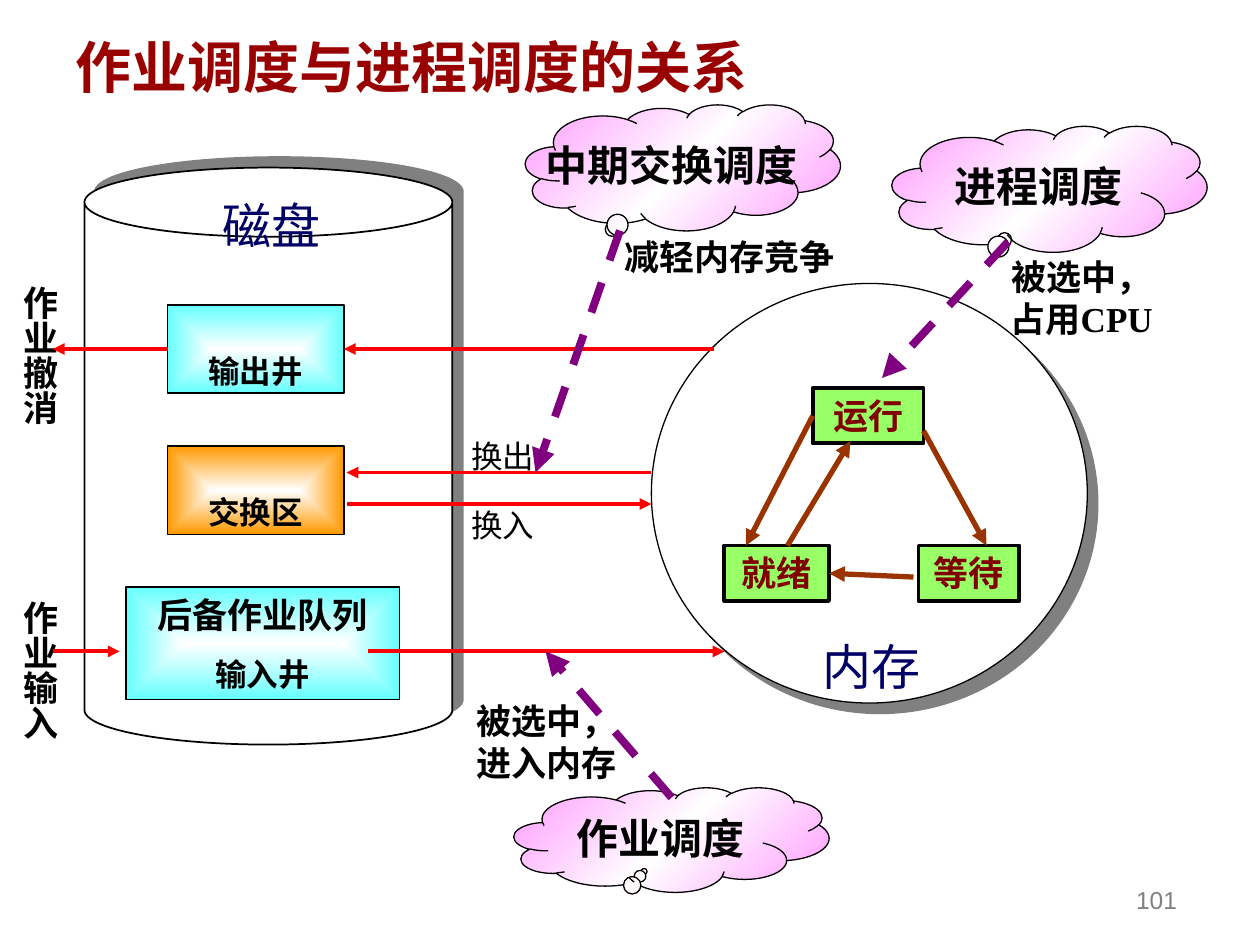
from lxml.etree import SubElement
from pptx import Presentation
from pptx.dml.color import RGBColor
from pptx.enum.dml import MSO_LINE
from pptx.enum.shapes import MSO_CONNECTOR, MSO_SHAPE as Preset
from pptx.enum.text import MSO_ANCHOR as Anchor, MSO_AUTO_SIZE, PP_ALIGN as Align
from pptx.oxml import parse_xml
from pptx.oxml.ns import nsdecls, qn
from pptx.util import Inches, Pt

WHITE = RGBColor(0xFF, 0xFF, 0xFF)
BLACK = RGBColor(0x00, 0x00, 0x00)
GRAY = RGBColor(0x80, 0x80, 0x80)
CYAN = RGBColor(0x66, 0xFF, 0xFF)
ORANGE = RGBColor(0xFF, 0x99, 0x00)
PINK = RGBColor(0xFF, 0x99, 0xFF)
LIME = RGBColor(0x99, 0xFF, 0x66)
NAVY = RGBColor(0x00, 0x00, 0x66)
MAROON = RGBColor(0x80, 0x00, 0x00)
DARK_RED = RGBColor(0x99, 0x00, 0x00)
RED = RGBColor(0xFF, 0x00, 0x00)
BROWN = RGBColor(0x99, 0x33, 0x00)
PURPLE = RGBColor(0x80, 0x00, 0x80)
SERIF, SANS, HEADING = "Times New Roman", "Arial", "Noto Sans CJK SC"
TOP, LEFT, RIGHT = 0, 1, 3


def within(area, dx, dy, width, height):
    return area[0] + dx, area[1] + dy, width, height


def write(holder, *lines, size=20, color=BLACK, bold=True, font=SERIF, align=Align.CENTER,
          anchor=Anchor.TOP, wrap=True, insets=(0.1, 0.05, 0.1, 0.05), space_before=0):
    frame = holder.text_frame
    frame.auto_size = MSO_AUTO_SIZE.NONE
    frame.word_wrap = wrap
    frame.vertical_anchor = anchor
    frame.margin_left, frame.margin_top, frame.margin_right, frame.margin_bottom = map(Inches, insets)
    for index, line in enumerate(lines):
        paragraph = frame.add_paragraph() if index else frame.paragraphs[0]
        paragraph.alignment = align
        paragraph.space_before = Pt(space_before if index else 0)
        run = paragraph.add_run()
        run.text = line
        run.font.size, run.font.bold, run.font.name = Pt(size), bold, font
        run.font.color.rgb = color
    return frame


def label(slide, box, text, vertical=False, **style):
    frame = write(slide.shapes.add_textbox(*map(Inches, box)), text, **style)
    if vertical:
        frame._txBody.bodyPr.set("vert", "eaVert")
    return frame


def draw(slide, preset, box, fill=None, weight=0.75):
    shape = slide.shapes.add_shape(preset, *map(Inches, box))
    shape.shadow.inherit = False
    if fill is not None:
        shape.fill.solid()
        shape.fill.fore_color.rgb = fill
    shape.line.color.rgb = BLACK
    shape.line.width = Pt(weight)
    return shape


def cast_shadow(shape, degrees):
    effects = shape._element.spPr.find(qn("a:effectLst"))
    shadow = SubElement(effects, qn("a:outerShdw"), dist=str(Pt(8.5)),
                        dir=str(degrees * 60000), algn="ctr", rotWithShape="0")
    SubElement(shadow, qn("a:srgbClr"), val=str(GRAY))


def shade(shape, colors, direction):
    step = 100000 // (len(colors) - 1)
    stops = "".join(f'<a:gs pos="{i * step}"><a:srgbClr val="{color}"/></a:gs>'
                    for i, color in enumerate(colors))
    gradient = parse_xml(f'<a:gradFill {nsdecls("a")} rotWithShape="1">'
                         f"<a:gsLst>{stops}</a:gsLst>{direction}</a:gradFill>")
    shape._element.spPr.find(qn("a:prstGeom")).addnext(gradient)


def glow_box(slide, box, color):
    shape = draw(slide, Preset.RECTANGLE, box)
    shade(shape, (WHITE, color),
          '<a:path path="rect"><a:fillToRect l="50000" t="50000" r="50000" b="50000"/></a:path>')
    return shape


def arrow(slide, start, end, color=RED, weight=2.25, dashed=False, source=None, target=None):
    connector = slide.shapes.add_connector(MSO_CONNECTOR.STRAIGHT, *map(Inches, start + end))
    if source:
        connector.begin_connect(*source)
    if target:
        connector.end_connect(*target)
    connector.line.color.rgb = color
    connector.line.width = Pt(weight)
    if dashed:
        connector.line.dash_style = MSO_LINE.DASH
    SubElement(connector.line._get_or_add_ln(), qn("a:tailEnd"), type="triangle")
    SubElement(connector._element.spPr, qn("a:effectLst"))


def disk(slide, area):
    can = draw(slide, Preset.CAN, area, WHITE, 1)
    can.adjustments[0] = 0.188
    cast_shadow(can, 315)
    label(slide, within(area, 1, 0.17, 1.17, 0.57), "磁盘",
          size=28, color=NAVY, bold=False, align=Align.LEFT)
    queue = glow_box(slide, within(area, 0.33, 3.33, 2.17, 0.89), CYAN)
    frame = write(queue, "后备作业队列", "输入井", anchor=Anchor.MIDDLE, space_before=11.2)
    frame.paragraphs[1].runs[0].font.size = Pt(18)
    wells = []
    for dy, name, color in ((1.09, "输出井", CYAN), (2.21, "交换区", ORANGE)):
        well = glow_box(slide, within(area, 0.66, dy, 1.4, 0.7), color)
        write(well, name, size=18, anchor=Anchor.BOTTOM, insets=(0.1, 0.05, 0.1, 0.03))
        wells.append(well)
    return wells[0]


def memory(slide, area):
    cast_shadow(draw(slide, Preset.OVAL, area, WHITE), 45)
    label(slide, within(area, 1.08, 2.75, 1.33, 0.57), "内存", size=28, color=NAVY,
          bold=False, align=Align.LEFT, insets=(0.28, 0.05, 0.1, 0.05))


def process_states(slide, area):
    left, top = area[:2]
    running, ready, waiting = [
        draw(slide, Preset.RECTANGLE, within(area, dx, dy, width, 0.44), LIME, 2.25)
        for dx, dy, width in ((0.7, 0, 0.88), (0, 1.25, 0.83), (1.54, 1.25, 0.8))]
    for state, name in ((running, "运行"), (ready, "就绪"), (waiting, "等待")):
        write(state, name, color=MAROON)
    moves = (((1.5, 1.5), (0.83, 1.5), None, (ready, RIGHT)),
             ((0.7, 0.25), (0.17, 1.25), (running, LEFT), None),
             ((0.5, 1.25), (1, 0.42), None, None),
             ((1.58, 0.34), (2.08, 1.25), None, None))
    for (x1, y1), (x2, y2), source, target in moves:
        arrow(slide, (left + x1, top + y1), (left + x2, top + y2), BROWN, 3,
              source=source, target=target)


def scheduler(slide, area, name, pointer, start, end):
    cloud = draw(slide, Preset.CLOUD_CALLOUT, area)
    cloud.adjustments[0], cloud.adjustments[1] = pointer
    shade(cloud, (PINK, WHITE, PINK), '<a:lin ang="2700000" scaled="1"/>')
    write(cloud, name, size=24, anchor=Anchor.MIDDLE, wrap=False)
    left, top = area[:2]
    arrow(slide, (left + start[0], top + start[1]), (left + end[0], top + end[1]),
          PURPLE, 4.5, dashed=True)


def job_flow(slide, area, output_well):
    left, top = area[:2]
    for dy, text in ((0, "作业撤消"), (2.5, "作业输入")):
        label(slide, within(area, 0, dy, 0.53, 1.67), text, vertical=True,
              align=Align.LEFT, insets=(0.05, 0.1, 0.05, 0.1))
    arrow(slide, (left + 1.33, top + 0.6), (left + 0.42, top + 0.6), source=(output_well, LEFT))
    arrow(slide, (left + 5.67, top + 0.6), (left + 2.73, top + 0.6), target=(output_well, RIGHT))
    for x1, x2, dy in ((0.42, 0.95, 3), (2.92, 5.75, 3), (2.75, 5.17, 1.83), (5.17, 2.75, 1.58)):
        arrow(slide, (left + x1, top + dy), (left + x2, top + dy))
    for dy, text in ((1.25, "换出"), (1.8, "换入")):
        label(slide, within(area, 3.64, dy, 0.7, 0.4), text, size=18, bold=False,
              align=Align.LEFT, wrap=False)


def heading(slide, area):
    title = slide.shapes.title
    title.left, title.top, title.width, title.height = map(Inches, area)
    frame = write(title, "作业调度与进程调度的关系", size=32, color=DARK_RED, font=HEADING,
                  align=Align.LEFT, anchor=Anchor.BOTTOM)
    properties = frame.paragraphs[0].runs[0].font._element
    SubElement(properties, qn("a:ea"), typeface=HEADING)


def main():
    deck = Presentation()
    deck.slide_width, deck.slide_height = Inches(10), Inches(7.5)
    slide = deck.slides.add_slide(deck.slide_layouts[5])
    heading(slide, (0.5, 0.17, 8.5, 0.67))
    output_well = disk(slide, (0.67, 1.33, 2.92, 4.58))
    memory(slide, (5.17, 2.25, 3.46, 3.33))
    process_states(slide, (5.75, 3.08, 2.34, 1.69))
    job_flow(slide, (0, 2.17, 5.75, 4.17), output_well)
    scheduler(slide, (4.08, 6.25, 2.5, 0.83), "作业调度", (-0.087, 0.304), (1.25, 0.08), (0.25, -1.08))
    scheduler(slide, (7.08, 1, 2.5, 1), "进程调度", (-0.138, 0.389), (0.92, 0.92), (-0.08, 2))
    scheduler(slide, (4.17, 0.83, 2.5, 1), "中期交换调度", (-0.224, 0.491), (0.75, 1), (0.08, 2.92))
    for box, text in (((3.67, 5.5, 1.33, 0.77), "被选中，进入内存"),
                      ((7.92, 1.98, 1.33, 1.1), "被选中，占用CPU"),
                      ((4.83, 1.82, 1.92, 0.44), "减轻内存竞争")):
        label(slide, box, text)
    label(slide, (7.36, 6.81, 2.08, 0.5), "101", size=14, color=GRAY, bold=False,
          font=SANS, align=Align.RIGHT, anchor=Anchor.BOTTOM)
    deck.save("out.pptx")


if __name__ == "__main__":
    main()
